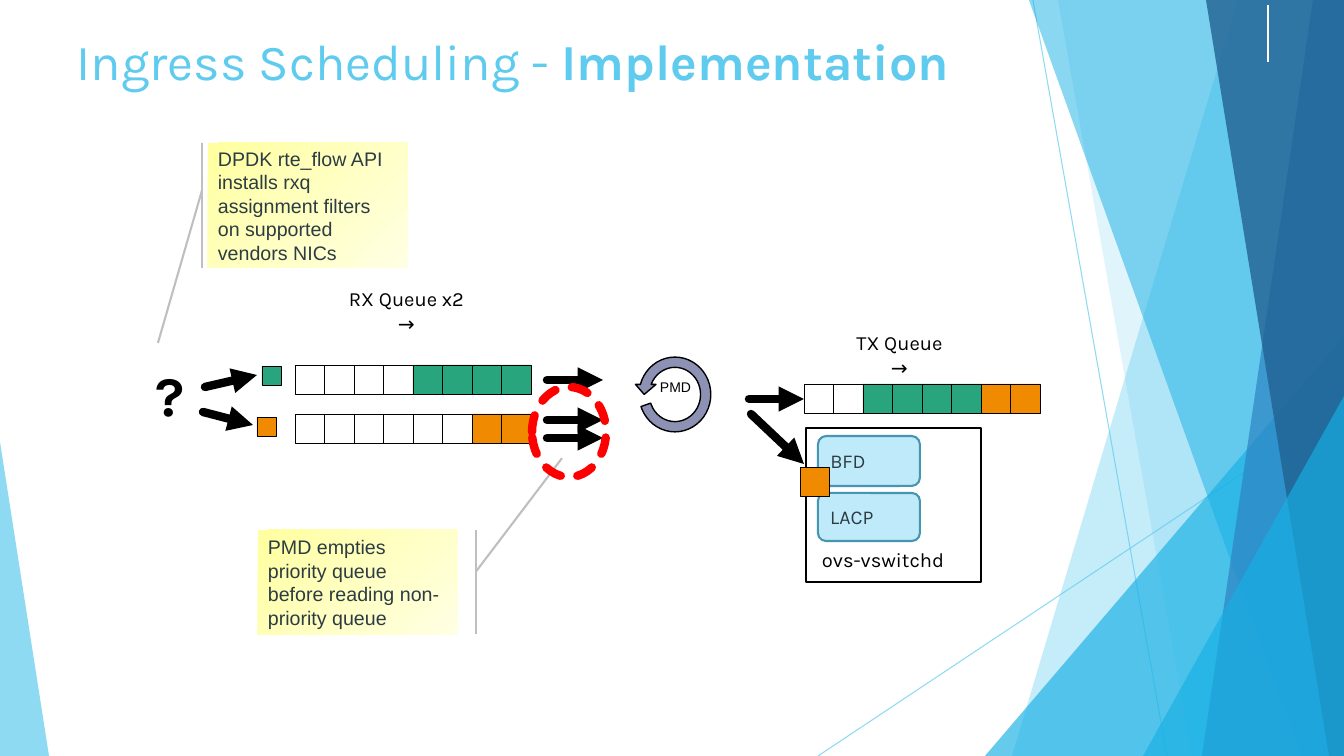
from lxml import etree
from pptx import Presentation
from pptx.dml.color import RGBColor
from pptx.enum.dml import MSO_LINE
from pptx.enum.shapes import MSO_CONNECTOR, MSO_SHAPE as SHAPE
from pptx.enum.text import MSO_ANCHOR as ANCHOR, PP_ALIGN as ALIGN
from pptx.oxml.ns import qn
from pptx.util import Emu, Pt

PX = 12192000 / 1344
SKY, AZURE, INK = "5FCBEF", "17B0E4", "2C3C43"
BLACK, GREEN, ORANGE = "000000", "29A57D", "F08A00"


def px(*lengths):
    return [Emu(round(length * PX)) for length in lengths]


def rgb(color):
    return RGBColor.from_string(color)


class SlideBuilder:
    """Holds the fonts and the slide being drawn."""

    heading_font, note_font = "Karla", "Arial"

    def __init__(self, slide):
        self.shapes = slide.shapes

    def fade(self, element, opacity):
        if opacity < 100:
            for color in element.iter(qn("a:srgbClr")):
                etree.SubElement(color, qn("a:alpha")).set("val", str(opacity * 1000))

    def paint(self, shape, fill=None, line=None, width=1, opacity=100):
        shape.shadow.inherit = False
        if fill:
            shape.fill.solid()
            shape.fill.fore_color.rgb = rgb(fill)
            self.fade(shape._element.spPr, opacity)
        else:
            shape.fill.background()
        if line:
            shape.line.color.rgb = rgb(line)
            shape.line.width = Pt(width)
        else:
            shape.line.fill.background()
        return shape

    def shape(self, kind, box, adjust=(), **style):
        shape = self.shapes.add_shape(kind, *px(*box))
        for i, value in enumerate(adjust):
            shape.adjustments[i] = value
        return self.paint(shape, **style)

    def polygon(self, points, fill, opacity):
        outline = self.shapes.build_freeform(*points[0], scale=PX)
        outline.add_line_segments(points[1:], close=True)
        self.paint(outline.convert_to_shape(), fill=fill, opacity=opacity)

    def line(self, ends, color, width, opacity=100):
        line = self.shapes.add_connector(MSO_CONNECTOR.STRAIGHT, *px(*ends))
        line.line.color.rgb = rgb(color)
        line.line.width = Pt(width)
        etree.SubElement(line._element.spPr, qn("a:effectLst"))
        self.fade(line.get_or_add_ln(), opacity)
        return line

    def arrow(self, *ends):
        stroke = self.line(ends, BLACK, 6).get_or_add_ln()
        stroke.set("cap", "rnd")
        etree.SubElement(stroke, qn("a:tailEnd")).set("type", "triangle")

    def set_text(self, shape, lines, size, color=BLACK, font=heading_font, bold=None,
                 align=ALIGN.LEFT, anchor=ANCHOR.MIDDLE, inset=None, wrap=True):
        frame = shape.text_frame
        frame.word_wrap = wrap
        frame.vertical_anchor = anchor
        if inset is not None:
            frame.margin_left = frame.margin_right = inset
            frame.margin_top = frame.margin_bottom = inset
        frame.text = "\n".join(lines)
        for paragraph in frame.paragraphs:
            paragraph.alignment = align
            paragraph.font.name = font
            paragraph.font.size = Pt(size)
            paragraph.font.bold = bold
            paragraph.font.color.rgb = rgb(color)
        return frame

    def label(self, box, lines, size=14.4, **style):
        return self.set_text(self.shapes.add_textbox(*px(*box)), lines, size, **style)

    def packet(self, x, y, size, color):
        self.shape(SHAPE.RECTANGLE, (x, y, size, size), fill=color, line=BLACK, width=0.5)

    def queue(self, x, y, colors, length=236):
        cell = length / len(colors)
        for i, color in enumerate(colors):
            self.packet(x + i * cell, y, cell, color)

    def callout(self, box, adjust, text):
        note = self.shape(SHAPE.LINE_CALLOUT_1_ACCENT_BAR, box, adjust,
                          line="BFBFBF", width=1.5)
        note.fill.gradient()
        note.fill.gradient_angle = 315
        for stop, color in zip(note.fill.gradient_stops, ("FFFFA0", "FFFFE3")):
            stop.color.rgb = rgb(color)
        self.set_text(note, [text], 14, INK, self.note_font)


def draw_backdrop(s):
    s.line((1033, 0, 1167, 756), SKY, 0.75, 70)
    s.line((1344, 406, 818, 756), SKY, 0.75, 70)
    # Facets: top-left x, bottom-left x, colour, opacity
    facets = [(1238, 1012, SKY, 36), (1058, 1192, SKY, 20), None,
              (1029, 1301, AZURE, 50), (1313, 1202, "2E83C3", 70),
              (1206, 1329, "226292", 80)]
    for facet in facets:
        if facet:
            top, bottom, color, opacity = facet
            s.polygon([(top, 0), (1344, 0), (1344, 756), (bottom, 756)], color, opacity)
        else:
            s.shape(SHAPE.ISOSCELES_TRIANGLE, (985, 336, 359, 420), [1],
                    fill=AZURE, opacity=66)
    s.shape(SHAPE.ISOSCELES_TRIANGLE, (1143, 396, 201, 360), [1], fill=AZURE, opacity=66)
    s.shape(SHAPE.ISOSCELES_TRIANGLE, (0, 442, 49, 314), [0], fill=SKY, opacity=70)
    s.line((1268, 5, 1268, 62), "FFFFFF", 1)


def draw_receive_side(s):
    s.label((313, 287, 187, 48), ["RX Queue x2", "→"], align=ALIGN.CENTER, inset=0)
    s.label((148, 360, 44, 68), ["?"], 40, bold=True, align=ALIGN.CENTER, inset=0)
    s.arrow(205, 387, 257, 375)
    s.arrow(203, 412, 253, 425)
    s.queue(295, 414, [None] * 6 + [ORANGE] * 2)
    s.queue(295, 365, [None] * 4 + [GREEN] * 4)
    s.callout((208, 143, 200, 125), (0.38, -0.03, 1.6, -0.25),
              "DPDK rte_flow API installs rxq assignment filters on supported vendors NICs")
    for y in (380, 420, 438):
        s.arrow(547, y, 603, y)


def draw_transmit_side(s):
    s.label((806, 331, 187, 48), ["TX Queue", "→"], align=ALIGN.CENTER, inset=0)
    s.arrow(749, 399, 804, 399)
    s.queue(804, 384, [None] * 2 + [GREEN] * 4 + [ORANGE] * 2)
    # Switch daemon and its protocols
    s.label((822, 547, 172, 24), ["ovs-vswitchd"], inset=0)
    s.shape(SHAPE.RECTANGLE, (806, 428, 175, 154), line=BLACK, width=1.5)
    for protocol, y, height in (("BFD", 436, 50), ("LACP", 493, 48)):
        block = s.shape(SHAPE.ROUNDED_RECTANGLE, (818, y, 102, height),
                        fill="BFEAF9", line="4696B1", width=1.5)
        s.set_text(block, [protocol], 14, INK)
    s.arrow(751, 414, 804, 464)


def draw_priority_details(s):
    s.callout((258, 530, 200, 104), (0.4, 1.09, -0.69, 1.52),
              "PMD empties priority queue before reading non-priority queue")
    s.packet(800, 467, 29, ORANGE)
    # Polling loop
    loop = s.shape(SHAPE.CIRCULAR_ARROW, (634, 352, 82, 85),
                   (0.125, 11.42, 204.58, 11.75, 0.125), fill="8D92B4", line=BLACK)
    loop._element.spPr.xfrm.set("flipH", "1")
    s.label((650, 374, 51, 44), ["PMD"], 10, font=s.note_font, align=ALIGN.CENTER,
            anchor=ANCHOR.TOP, wrap=False)
    s.packet(257, 417, 19, ORANGE)
    s.packet(262, 366, 19, GREEN)
    # Highlight around the priority reads
    highlight = s.shape(SHAPE.OVAL, (532, 387, 74, 90), line="FF0000", width=6)
    highlight.line.dash_style = MSO_LINE.SQUARE_DOT
    highlight.get_or_add_ln().set("cap", "rnd")


def main():
    deck = Presentation()
    deck.slide_width, deck.slide_height = px(1344, 756)
    s = SlideBuilder(deck.slides.add_slide(deck.slide_layouts[6]))
    draw_backdrop(s)
    # Title with a bold ending
    title = s.label((67, 25, 1210, 71), ["Ingress Scheduling - "], 36, color=SKY)
    emphasis = title.paragraphs[0].add_run()
    emphasis.text = "Implementation"
    emphasis.font.bold = True
    # Packet flow from left to right
    draw_receive_side(s)
    draw_transmit_side(s)
    draw_priority_details(s)
    deck.save("out.pptx")


if __name__ == "__main__":
    main()
